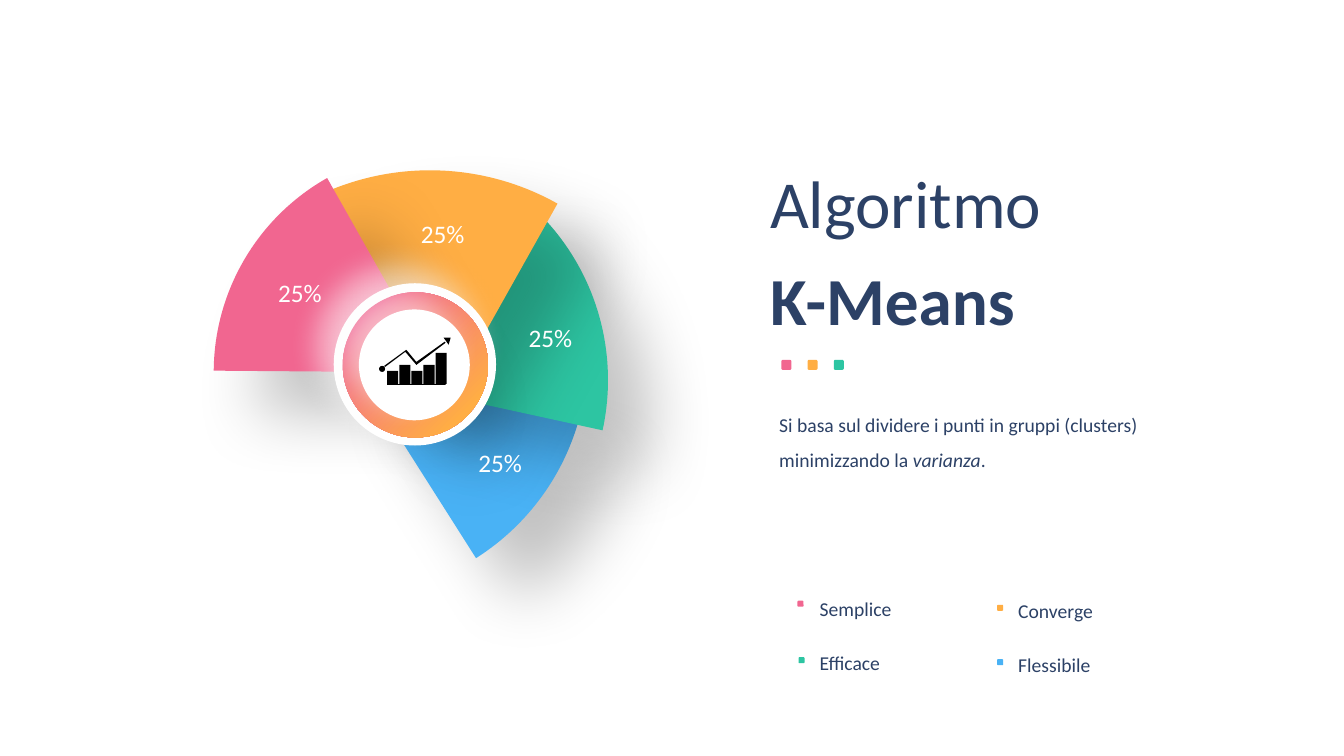
from lxml import etree
from pptx import Presentation
from pptx.dml.color import RGBColor
from pptx.enum.shapes import MSO_SHAPE
from pptx.enum.text import MSO_ANCHOR, PP_ALIGN
from pptx.oxml.ns import qn
from pptx.util import Inches, Pt

OVAL, PIE = MSO_SHAPE.OVAL, MSO_SHAPE.PIE
RECT, ROUNDED = MSO_SHAPE.RECTANGLE, MSO_SHAPE.ROUNDED_RECTANGLE
LEFT, CENTER, TOP = PP_ALIGN.LEFT, PP_ALIGN.CENTER, MSO_ANCHOR.TOP
FONT = "Calibri"
COLORS = {
    "pink": "F16690",
    "orange": "FFAE44",
    "green": "2DC5A2",
    "blue": "49B2F5",
    "navy": "2C4166",
    "white": "FFFFFF",
    "black": "000000",
}

prs = Presentation()
prs.slide_width, prs.slide_height = Inches(13.33), Inches(7.5)
slide = prs.slides.add_slide(prs.slide_layouts[6])
shapes = slide.shapes


def paint(shape, color, shadow=None):
    """Flat fill without outline; shadow is (alpha %, blur pt, distance pt, angle)."""
    shape.shadow.inherit = False
    shape.fill.solid()
    shape.fill.fore_color.rgb = RGBColor.from_string(COLORS[color])
    shape.line.fill.background()
    if shadow:
        alpha, blur, distance, angle = shadow
        outer = etree.SubElement(
            shape._element.spPr.find(qn("a:effectLst")), qn("a:outerShdw"),
            blurRad=str(Pt(blur)), dist=str(Pt(distance)),
            dir=str(angle * 60000), algn="ctr", rotWithShape="0")
        tint = etree.SubElement(outer, qn("a:srgbClr"),
                                val=COLORS["white" if angle == 225 else "black"])
        etree.SubElement(tint, qn("a:alpha"), val=str(alpha * 1000))
    return shape


def add_text(box, lines, size, color="navy", align=LEFT, spacing=None):
    """Text box whose lines are lists of (text, style) runs."""
    frame = shapes.add_textbox(*map(Inches, box)).text_frame
    frame.word_wrap = True
    frame.vertical_anchor = TOP
    for i, line in enumerate(lines):
        paragraph = frame.add_paragraph() if i else frame.paragraphs[0]
        paragraph.alignment = align
        if i:
            paragraph.space_before = Pt(12)
        if spacing:
            paragraph.line_spacing = spacing
        for text, style in line:
            run = paragraph.add_run()
            run.text = text
            run.font.name, run.font.size = FONT, Pt(size)
            run.font.bold, run.font.italic = style == "bold", style == "italic"
            run.font.color.rgb = RGBColor.from_string(COLORS[color])


# Soft disc behind the fan
paint(shapes.add_shape(OVAL, Inches(1.47), Inches(1.01), Inches(5.26), Inches(5.26)),
      "white", (50, 42, 42, 225))

# Fan sectors: colour, left, top, diameter, rotation, start and end angle
sectors = [
    ("blue", 1.05, 1.13, 4.78, 58, 318.11, 359.58),
    ("green", 1.35, 1.43, 4.68, 49.8, 260.34, 322.51),
    ("orange", 1.68, 1.69, 5.17, 0, 236.83, 299.29),
    ("pink", 2.12, 1.48, 4.43, 0, 180.44, 240.52),
]
for color, left, top, diameter, rotation, start, end in sectors:
    sector = shapes.add_shape(PIE, Inches(left), Inches(top),
                              Inches(diameter), Inches(diameter))
    # One adjustment unit is 100000/60000 of a degree
    sector.adjustments[0] = start * 0.6
    sector.adjustments[1] = end * 0.6
    sector.rotation = rotation
    paint(sector, color, (23, 48, 43, 45))

# Hub: white rim, gradient ring, white centre
hub_discs = [
    (3.31, 2.81, 1.61, (50, 20, 18, 225)),
    (3.4, 2.9, 1.44, None),
    (3.56, 3.07, 1.1, (50, 20, 15, 225)),
]
for left, top, diameter, shadow in hub_discs:
    disc = paint(shapes.add_shape(OVAL, Inches(left), Inches(top),
                                  Inches(diameter), Inches(diameter)),
                 "white", shadow)
    if shadow is None:
        disc.fill.gradient()
        disc.fill.gradient_angle = 315  # counter-clockwise: top left to bottom right
        stops = zip(disc.fill.gradient_stops, ("pink", "orange"), (0.16, 0.84))
        for stop, color, position in stops:
            stop.color.rgb = RGBColor.from_string(COLORS[color])
            stop.position = position

# Sector percentages
for left, top, width in [(2.5, 2.7, 0.95), (3.85, 2.12, 1.08),
                         (4.92, 3.15, 1.08), (4.55, 4.39, 0.82)]:
    add_text((left, top, width, 0.4), [[("25%", None)]], 18, "white", CENTER)

# Growth icon: baseline, bars, starting dot
baseline = 3.81
icon_parts = [(RECT, 3.84, baseline, 0.58, 0.01), (OVAL, 3.76, 3.63, 0.06, 0.06)]
for i, bar_top in enumerate([3.68, 3.62, 3.68, 3.62, 3.5]):
    icon_parts.append((RECT, 3.84 + 0.12 * i, bar_top, 0.11, baseline - bar_top))
for kind, *box in icon_parts:
    paint(shapes.add_shape(kind, *map(Inches, box)), "black")

# Growth icon: trend line and its arrowhead
trend = [(3.81, 3.63), (4.03, 3.47), (4.13, 3.59), (4.41, 3.39),
         (4.42, 3.4), (4.13, 3.62), (4.02, 3.49), (3.82, 3.64)]
arrowhead = [(4.47, 3.35), (4.4, 3.35), (4.45, 3.42)]
for outline in (trend, arrowhead):
    points = [(Inches(x), Inches(y)) for x, y in outline]
    builder = shapes.build_freeform(*points[0])
    builder.add_line_segments(points[1:], close=True)
    paint(builder.convert_to_shape(), "black")

# Title, accent squares and description
add_text((7.54, 1.55, 5.23, 1.88),
         [[("Algoritmo", None)], [("K-Means", "bold")]], 48)
for i, color in enumerate(("pink", "orange", "green")):
    paint(shapes.add_shape(ROUNDED, Inches(7.75 + 0.26 * i), Inches(3.57),
                           Inches(0.1), Inches(0.1)), color)
add_text((7.63, 3.93, 4.14, 0.77),
         [[("Si basa sul dividere i punti in gruppi (clusters) minimizzando la ", None),
           ("varianza", "italic"), (".", None)]], 14, spacing=1.5)

# Properties: label, colour, text left and top, marker left and top
properties = [
    ("Semplice", "pink", 8.03, 5.8, 7.91, 5.96),
    ("Efficace", "green", 8.03, 6.34, 7.92, 6.52),
    ("Converge", "orange", 10, 5.82, 9.89, 6),
    ("Flessibile", "blue", 10, 6.36, 9.89, 6.54),
]
for label, color, left, top, marker_left, marker_top in properties:
    add_text((left, top, 1.78, 0.38), [[(label, None)]], 14, spacing=1.3)
    paint(shapes.add_shape(ROUNDED, Inches(marker_left), Inches(marker_top),
                           Inches(0.06), Inches(0.06)), color)

prs.save("out.pptx")
